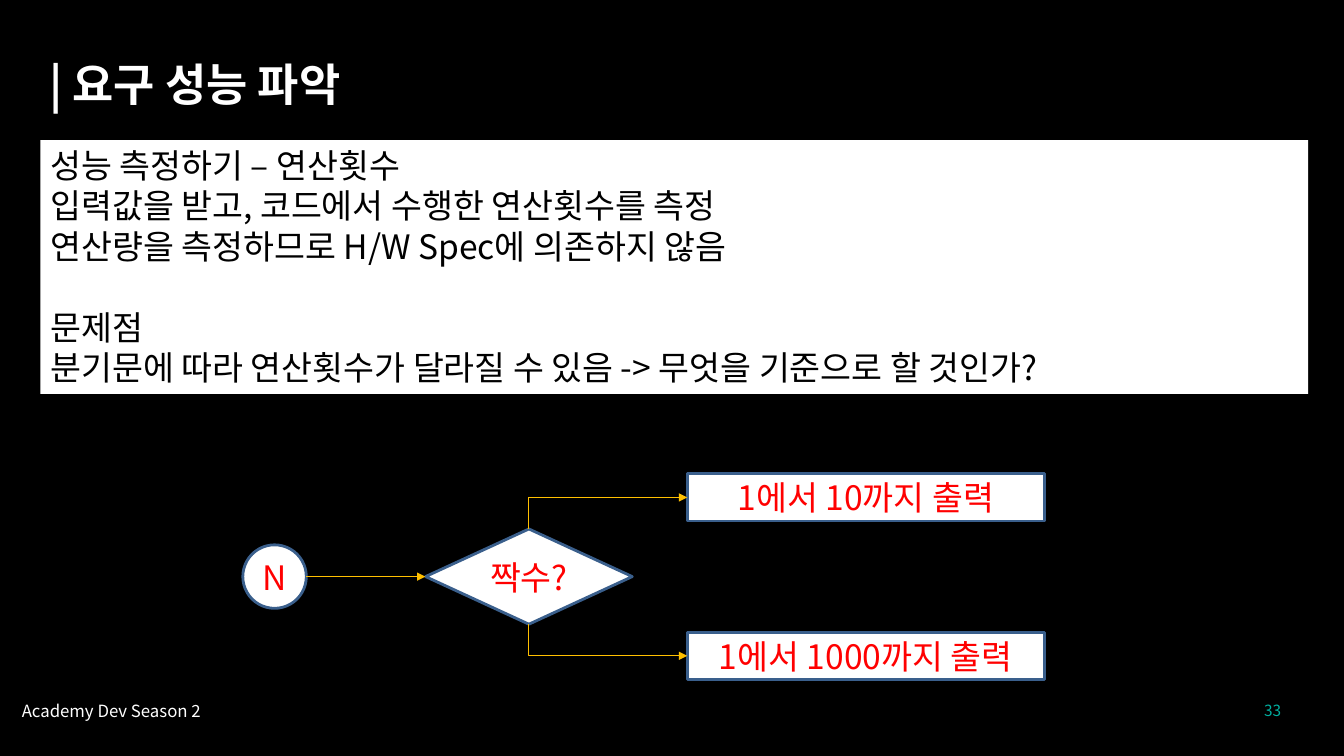
from dataclasses import dataclass

from lxml import etree
from pptx import Presentation
from pptx.dml.color import RGBColor
from pptx.enum.shapes import MSO_CONNECTOR, MSO_SHAPE
from pptx.enum.text import MSO_ANCHOR, PP_ALIGN
from pptx.oxml.ns import qn
from pptx.util import Cm, Pt

LEFT, CENTER, RIGHT = PP_ALIGN.LEFT, PP_ALIGN.CENTER, PP_ALIGN.RIGHT
TOP, MIDDLE = MSO_ANCHOR.TOP, MSO_ANCHOR.MIDDLE
RECTANGLE, OVAL = MSO_SHAPE.RECTANGLE, MSO_SHAPE.OVAL
DECISION = MSO_SHAPE.FLOWCHART_DECISION
STRAIGHT, ELBOW = MSO_CONNECTOR.STRAIGHT, MSO_CONNECTOR.ELBOW


@dataclass(frozen=True)
class Theme:
    """Colours, font and type sizes of the slide."""
    font: str = "Noto Sans CJK KR"
    black: RGBColor = RGBColor(0, 0, 0)
    white: RGBColor = RGBColor(255, 255, 255)
    red: RGBColor = RGBColor(255, 0, 0)
    teal: RGBColor = RGBColor(0x00, 0xAF, 0xA0)
    outline: RGBColor = RGBColor(0x3A, 0x5F, 0x8C)
    arrow: RGBColor = RGBColor(0xFF, 0xC0, 0x00)
    title: Pt = Pt(32)
    body: Pt = Pt(24)
    footer: Pt = Pt(12)
    number: Pt = Pt(11)


THEME = Theme()
PANEL_LINES = [
    ("성능 측정하기 – 연산횟수", {}),
    ("입력값을 받고, 코드에서 수행한 연산횟수를 측정", {}),
    ("연산량을 측정하므로 H/W Spec에 의존하지 않음", {}),
    ("문제점", {"space_before": Pt(29)}),
    ("분기문에 따라 연산횟수가 달라질 수 있음 -> 무엇을 기준으로 할 것인가?", {}),
]
FLOW_Y = 14.53
BRANCH_GAP = 3.99
DECISION_X, DECISION_HALF_HEIGHT = 13.33, 1.2
OUTPUT_LEFT = 17.32


def apply_format(target, values):
    """Set each named attribute on the target."""
    for name, value in values.items():
        setattr(target, name, value)


def write_lines(shape, lines, size, color, align=LEFT, anchor=TOP, bold=False):
    """Fill a shape with paragraphs given as text and paragraph format."""
    frame = shape.text_frame
    apply_format(frame, {"word_wrap": True, "vertical_anchor": anchor})
    for index, (text, layout) in enumerate(lines):
        para = frame.add_paragraph() if index else frame.paragraphs[0]
        apply_format(para, {"alignment": align, **layout})
        span = para.add_run()
        span.text = text
        apply_format(span.font, {"name": THEME.font, "size": size, "bold": bold})
        span.font.color.rgb = color
        properties = span._r.get_or_add_rPr()
        etree.SubElement(properties, qn("a:ea"), typeface=THEME.font)


def add_label(page, place, text, size, color, align=LEFT, bold=False, **layout):
    """Add a one-paragraph text box."""
    box = page.shapes.add_textbox(*map(Cm, place))
    write_lines(box, [(text, layout)], size, color, align, bold=bold)


def add_white_shape(page, kind, place):
    """Add a plain white shape without outline."""
    shape = page.shapes.add_shape(kind, *map(Cm, place))
    shape.shadow.inherit = False
    shape.fill.solid()
    shape.fill.fore_color.rgb = THEME.white
    shape.line.fill.background()
    return shape


def add_node(page, kind, center_x, center_y, width, height, text):
    """Add an outlined flowchart node around its centre."""
    place = (center_x - width / 2, center_y - height / 2, width, height)
    node = add_white_shape(page, kind, place)
    node.line.color.rgb = THEME.outline
    node.line.width = Pt(2)
    write_lines(node, [(text, {})], THEME.body, THEME.red, CENTER, MIDDLE)


def add_arrow(page, kind, start, end):
    """Add a thin connector with a triangle at its end."""
    arrow = page.shapes.add_connector(kind, *map(Cm, (*start, *end)))
    arrow.line.color.rgb = THEME.arrow
    arrow.line.width = Pt(0.75)
    etree.SubElement(arrow.line._get_or_add_ln(), qn("a:tailEnd"), type="triangle")
    etree.SubElement(arrow.element.spPr, qn("a:effectLst"))
    return arrow


def add_branch_arrow(page, start, end):
    """Add an arrow that leaves vertically and then turns right."""
    center_x, center_y = (start[0] + end[0]) / 2, (start[1] + end[1]) / 2
    half_rise, half_run = abs(end[1] - start[1]) / 2, (end[0] - start[0]) / 2
    upward = end[1] < start[1]
    offset = half_run if upward else -half_run
    arrow = add_arrow(page, ELBOW, (center_x + half_rise, center_y + offset),
                      (center_x - half_rise, center_y - offset))
    arrow.element.spPr.find(qn("a:prstGeom")).set("prst", "bentConnector2")
    degrees = 90 if upward else 270
    arrow.element.spPr.find(qn("a:xfrm")).set("rot", str(degrees * 60000))


def add_flowchart(page):
    """Draw the input, the decision and its two outputs."""
    add_node(page, DECISION, DECISION_X, FLOW_Y, 5.21, 2 * DECISION_HALF_HEIGHT, "짝수?")
    add_node(page, OVAL, 6.92, FLOW_Y, 1.6, 1.6, "N")
    add_arrow(page, STRAIGHT, (7.72, FLOW_Y), (10.72, FLOW_Y))
    for side, text in ((-1, "1에서 10까지 출력"), (1, "1에서 1000까지 출력")):
        output_y = FLOW_Y + side * BRANCH_GAP / 2
        add_node(page, RECTANGLE, OUTPUT_LEFT + 4.5, output_y, 9, 1.19, text)
        add_branch_arrow(page, (DECISION_X, FLOW_Y + side * DECISION_HALF_HEIGHT),
                         (OUTPUT_LEFT, output_y))


def main():
    """Build the slide and save the deck."""
    deck = Presentation()
    apply_format(deck, {"slide_width": Cm(33.87), "slide_height": Cm(19.05)})
    page = deck.slides.add_slide(deck.slide_layouts[6])
    page.background.fill.solid()
    page.background.fill.fore_color.rgb = THEME.black
    add_label(page, (30.81, 17.55, 1.73, 0.74), "33", THEME.number, THEME.teal, RIGHT)
    add_label(page, (0.3, 17.53, 5.33, 0.76), "Academy Dev Season 2",
              THEME.footer, THEME.white)
    add_label(page, (0.99, 0.89, 8.74, 2.03), "| 요구 성능 파악",
              THEME.title, THEME.white, bold=True, line_spacing=1.3)
    panel = add_white_shape(page, RECTANGLE, (1.02, 3.53, 31.95, 6.4))
    write_lines(panel, PANEL_LINES, THEME.body, THEME.black)
    add_flowchart(page)
    deck.save("out.pptx")


if __name__ == "__main__":
    main()
